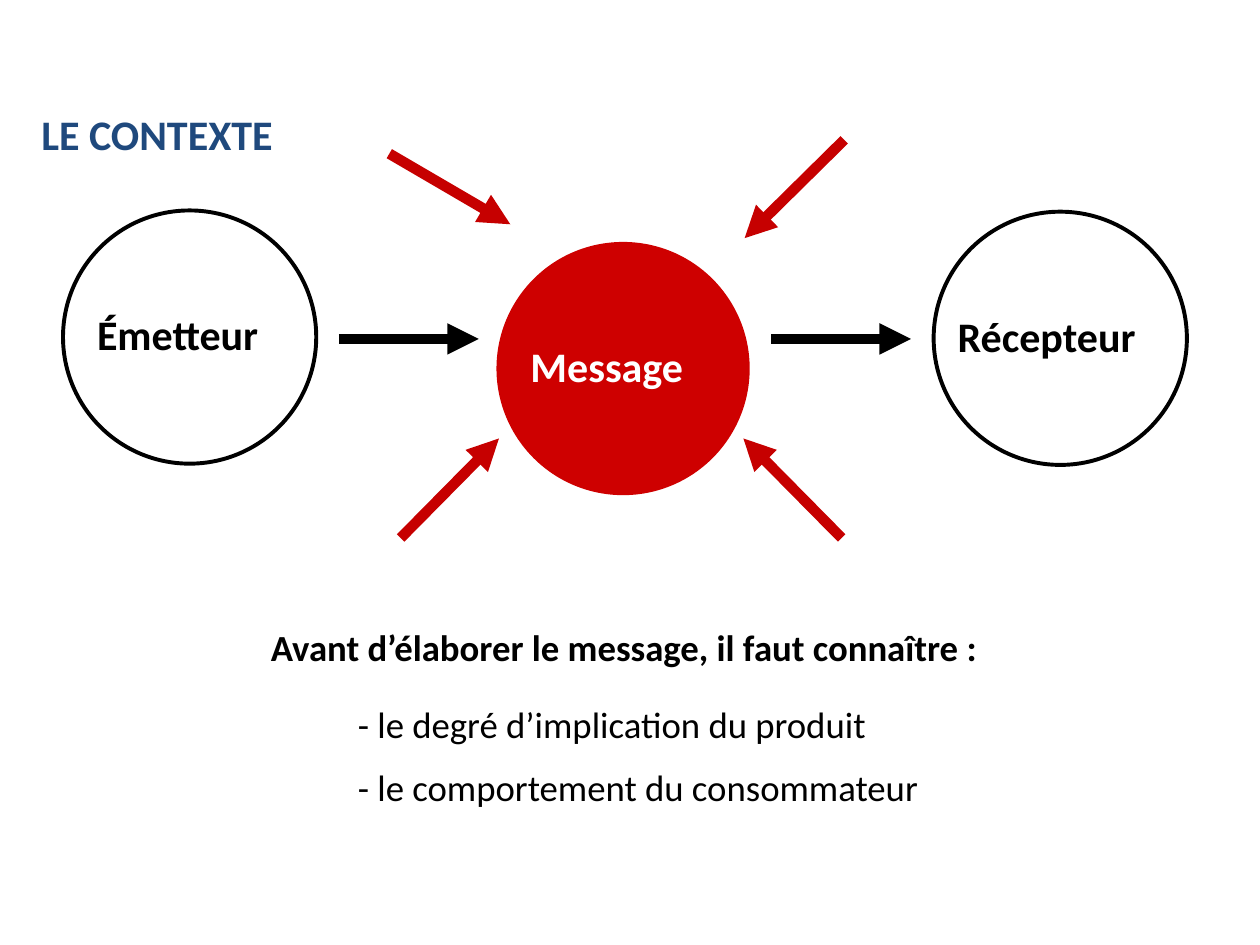
from dataclasses import dataclass

from lxml import etree
from pptx import Presentation
from pptx.dml.color import RGBColor
from pptx.enum.shapes import MSO_CONNECTOR, MSO_SHAPE
from pptx.enum.text import MSO_ANCHOR
from pptx.oxml.ns import qn
from pptx.util import Inches, Pt

STRAIGHT = MSO_CONNECTOR.STRAIGHT
OVAL = MSO_SHAPE.OVAL
TOP, MIDDLE = MSO_ANCHOR.TOP, MSO_ANCHOR.MIDDLE


@dataclass(frozen=True)
class Theme:
    font: str = "Calibri"
    black: str = "000000"
    white: str = "FFFFFF"
    navy: str = "1F497D"
    red: str = "CE0000"
    arrow_red: str = "C60000"
    heading: int = 24
    body: int = 21
    outline: float = 2.25
    arrow: int = 6


class SlideBuilder:
    """Draws styled circles, labels and arrows on one slide."""

    def __init__(self, slide, theme):
        self.s = slide
        self.theme = theme

    def text(self, text, box, size, color, bold=True, insets=(0.15, 0.07), anchor=TOP):
        tf = self.s.shapes.add_textbox(*map(Inches, box)).text_frame
        tf.word_wrap = True
        tf.vertical_anchor = anchor
        tf.margin_left = tf.margin_right = Inches(insets[0])
        tf.margin_top = tf.margin_bottom = Inches(insets[1])
        tf.text = text
        font = tf.paragraphs[0].runs[0].font
        font.name, font.size, font.bold = self.theme.font, Pt(size), bold
        font.color.rgb = RGBColor.from_string(color)

    def circle(self, left, top, diameter, fill=None):
        sp = self.s.shapes.add_shape(OVAL, *map(Inches, (left, top, diameter, diameter)))
        sp.shadow.inherit = False
        if fill:
            sp.fill.solid()
            sp.fill.fore_color.rgb = RGBColor.from_string(fill)
            sp.line.fill.background()
        else:
            sp.fill.background()
            sp.line.color.rgb = RGBColor.from_string(self.theme.black)
            sp.line.width = Pt(self.theme.outline)

    def arrow(self, start, end, color):
        cxn = self.s.shapes.add_connector(STRAIGHT, *map(Inches, (*start, *end)))
        cxn.line.color.rgb = RGBColor.from_string(color)
        cxn.line.width = Pt(self.theme.arrow)
        etree.SubElement(cxn.line._get_or_add_ln(), qn("a:tailEnd"), type="triangle")
        etree.SubElement(cxn._element.spPr, qn("a:effectLst"))


def main():
    prs = Presentation()
    prs.slide_width, prs.slide_height = Inches(10), Inches(7.5)
    theme = Theme()
    slide = SlideBuilder(prs.slides.add_slide(prs.slide_layouts[6]), theme)

    slide.text("LE CONTEXTE", (0.23, 0.81, 4.54, 0.5), theme.heading, theme.navy,
               insets=(0.1, 0.05), anchor=MIDDLE)

    actors = [
        ("Émetteur", 0.5, 1.67, 0.12, 1.89, None, theme.black),
        ("Message", 3.94, 1.92, 0.12, 1.89, theme.red, theme.white),
        ("Récepteur", 7.41, 1.68, 0.04, 2.18, None, theme.black),
    ]
    for name, left, top, offset, width, fill, color in actors:
        slide.circle(left, top, 2.01, fill)
        slide.text(name, (left + offset, top + 0.71, width, 0.55), theme.heading, color)

    for left in (2.69, 6.12):
        slide.arrow((left, 2.69), (left + 1.11, 2.69), theme.black)

    influences = [
        ((3.09, 1.22), (4.05, 1.78)),
        ((6.7, 1.11), (5.91, 1.89)),
        ((3.18, 4.27), (3.96, 3.48)),
        ((6.68, 4.27), (5.9, 3.48)),
    ]
    for start, end in influences:
        slide.arrow(start, end, theme.arrow_red)

    slide.text("Avant d’élaborer le message, il faut connaître :", (2.08, 4.93, 7.8, 0.42),
               theme.body, theme.black, insets=(0.07, 0.03))
    points = ("- le degré d’implication du produit", "- le comportement du consommateur")
    for i, point in enumerate(points):
        slide.text(point, (2.69, 5.5 + 0.5 * i, 5.31, 0.5), theme.body, theme.black, bold=False)

    prs.save("out.pptx")


if __name__ == "__main__":
    main()
